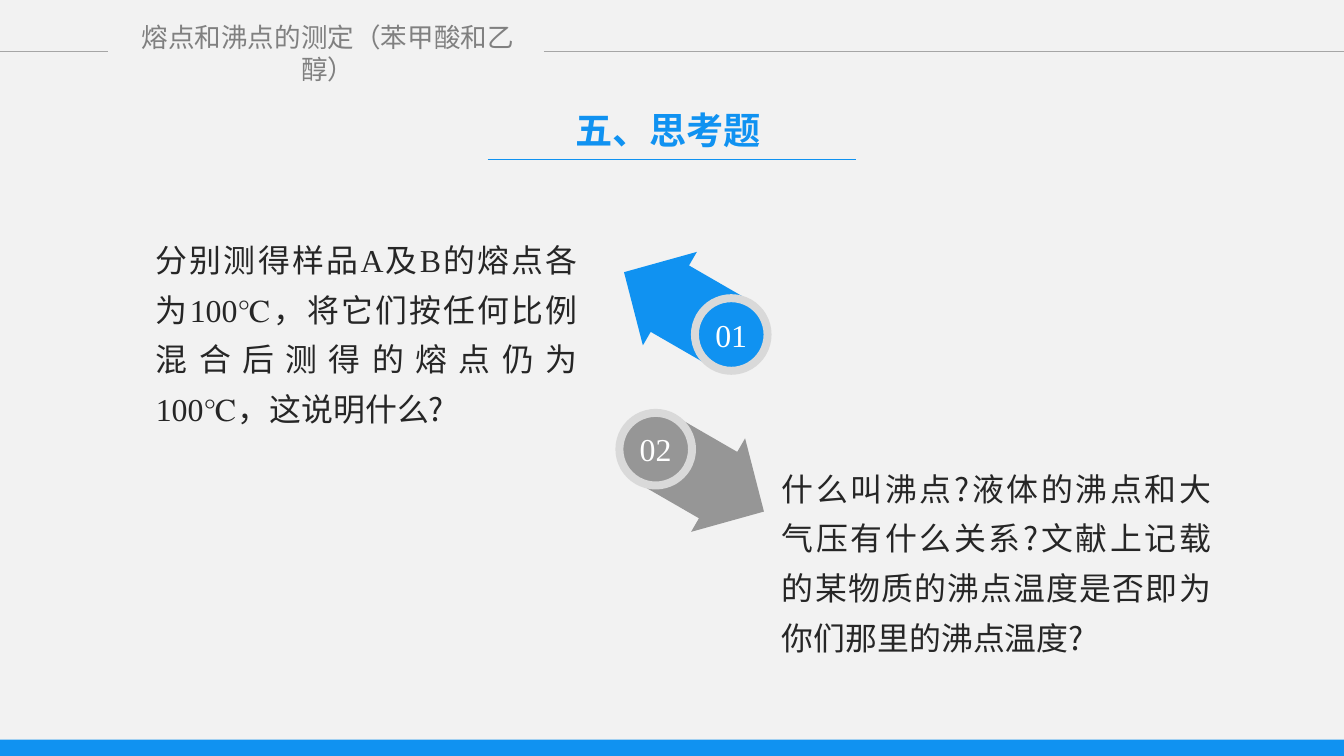
from lxml import etree
from pptx import Presentation
from pptx import util as u
from pptx.dml.color import RGBColor
from pptx.enum import shapes, text
from pptx.oxml import ns

WIDTH, HEIGHT = 14.06, 7.91
BLUE = RGBColor(0x10, 0x92, 0xF1)
GRAY = RGBColor(0x96, 0x96, 0x96)
RING = RGBColor(0xD9, 0xD9, 0xD9)
RULE = RGBColor(0xA6, 0xA6, 0xA6)
HEADER = RGBColor(0x80, 0x80, 0x80)
INK = RGBColor(0x26, 0x26, 0x26)
WHITE = RGBColor(0xFF, 0xFF, 0xFF)
PAPER = RGBColor(0xF2, 0xF2, 0xF2)
SERIF, SANS, CHINESE = "Times New Roman", "Arial", "Noto Sans CJK SC"

presentation = Presentation()
presentation.slide_width = u.Inches(WIDTH)
presentation.slide_height = u.Inches(HEIGHT)
slide = presentation.slides.add_slide(presentation.slide_layouts[6])
slide.background.fill.solid()
slide.background.fill.fore_color.rgb = PAPER


def write(shape, pieces, size, color, align, font=SERIF, wrap=True, bold=False):
    """Fill a shape with one paragraph; question marks use the Chinese font."""
    frame = shape.text_frame
    frame.word_wrap = wrap
    frame.margin_left = frame.margin_right = frame.margin_top = frame.margin_bottom = 0
    paragraph = frame.paragraphs[0]
    paragraph.alignment = align
    for piece in pieces:
        run = paragraph.add_run()
        run.text = piece
        run.font.size = u.Pt(size)
        run.font.bold = bold
        run.font.color.rgb = color
        run.font.name = CHINESE if piece.startswith("?") else font
        east_asian = etree.SubElement(run.font._element, ns.qn("a:ea"))
        east_asian.set("typeface", CHINESE)
    return paragraph


def add_solid(kind, left, top, width, height, color):
    shape = slide.shapes.add_shape(kind, *map(u.Inches, (left, top, width, height)))
    shape.shadow.inherit = False
    shape.fill.solid()
    shape.fill.fore_color.rgb = color
    shape.line.fill.background()
    return shape


# Footer band
band = 0.17
add_solid(shapes.MSO_SHAPE.RECTANGLE, 0, HEIGHT - band, WIDTH, band, BLUE)

# Header and title rules
for start, end, y, color in ((0, 1.13, 0.54, RULE), (5.69, WIDTH, 0.54, RULE),
                             (5.1, 8.96, 1.67, BLUE)):
    rule = slide.shapes.add_connector(
        shapes.MSO_CONNECTOR.STRAIGHT, *map(u.Inches, (start, y, end, y)))
    rule.line.color.rgb = color
    rule.line.width = u.Pt(1)
    etree.SubElement(rule._element.spPr, ns.qn("a:effectLst"))

# Header and title
header = slide.shapes.add_textbox(*map(u.Inches, (1.28, 0.38, 4.3, 0.34)))
header.text_frame.vertical_anchor = text.MSO_ANCHOR.MIDDLE
write(header, ["熔点和沸点的测定（苯甲酸和乙醇）"], 20, HEADER, text.PP_ALIGN.CENTER, font=SANS)
title = slide.shapes.add_textbox(*map(u.Inches, (5.54, 1.12, 2.99, 0.47)))
write(title, ["五、思考题 "], 28, BLUE, text.PP_ALIGN.CENTER, bold=True)

# Questions
questions = (
    (1.63, 2.4, 4.41,
     ["分别测得样品A及B的熔点各为100℃，将它们按任何比例混合后测得的熔点仍为100℃，这说明什么", "?"]),
    (8.18, 4.79, 4.49,
     ["什么叫沸点", "?", "液体的沸点和大气压有什么关系", "?",
      "文献上记载的某物质的沸点温度是否即为你们那里的沸点温度", "? "]),
)
for left, top, width, pieces in questions:
    question = slide.shapes.add_textbox(*map(u.Inches, (left, top, width, 2.1)))
    paragraph = write(question, pieces, 24, INK, text.PP_ALIGN.JUSTIFY)
    paragraph.line_spacing = 1.3

# Numbered arrows, each starting under its disc
disc_size = 0.76
markers = (("01", BLUE, 210, (6.44, 2.61), (7.27, 3.12)),
           ("02", GRAY, 30, (6.77, 4.46), (6.48, 4.32)))
for number, color, angle, arrow_corner, disc_corner in markers:
    arrow = add_solid(shapes.MSO_SHAPE.RIGHT_ARROW, *arrow_corner, 1.31, 1.13, color)
    arrow.adjustments[0], arrow.adjustments[1] = 0.71, 0.49
    arrow.rotation = angle
    disc = add_solid(shapes.MSO_SHAPE.OVAL, *disc_corner, disc_size, disc_size, color)
    disc.line.color.rgb = RING
    disc.line.width = u.Pt(6)
    disc.text_frame.vertical_anchor = text.MSO_ANCHOR.MIDDLE
    write(disc, [number], 24, WHITE, text.PP_ALIGN.CENTER, wrap=False)

presentation.save("out.pptx")
